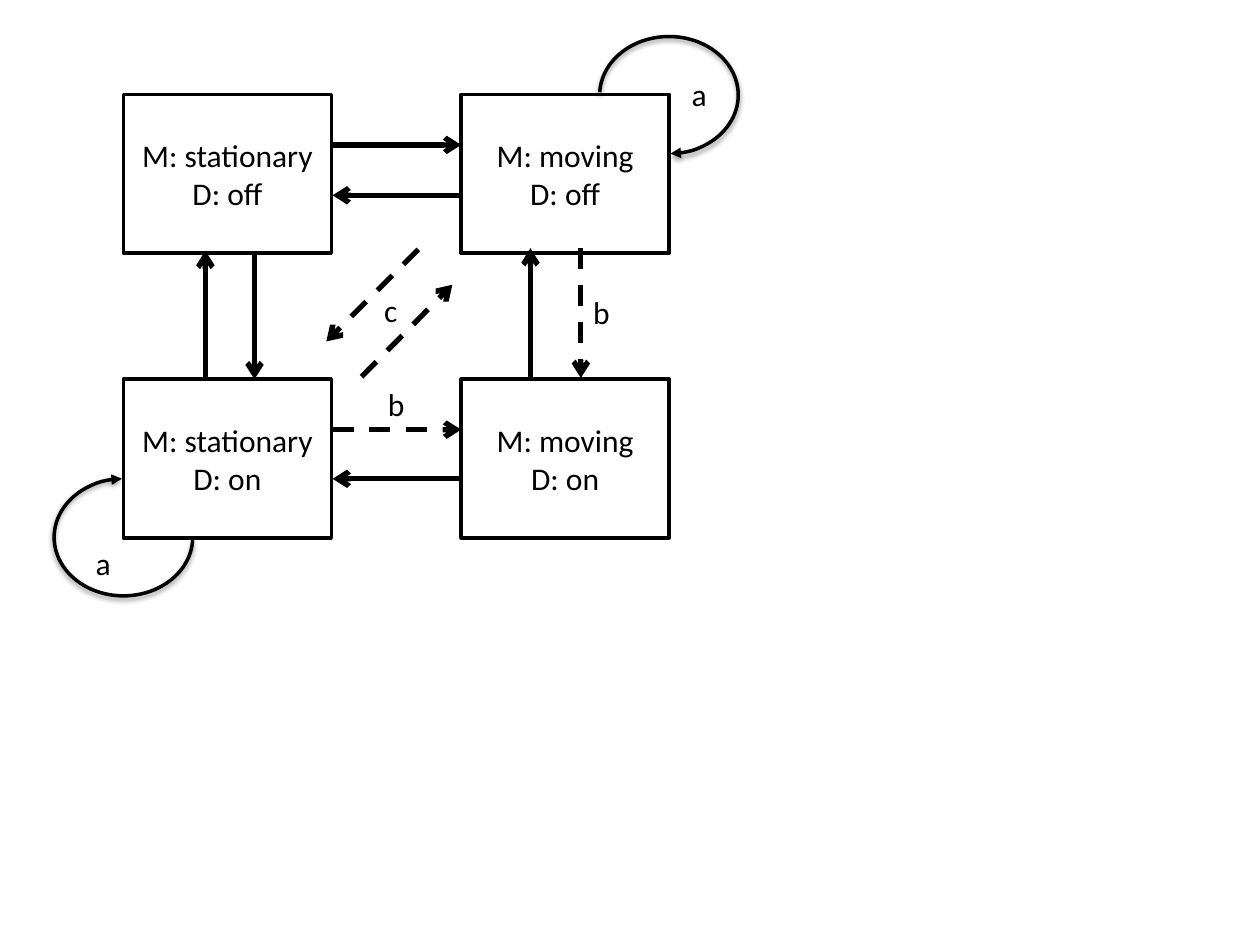
import pptx
import pptx.dml.color
import pptx.enum.dml
import pptx.enum.shapes
import pptx.enum.text
import pptx.oxml.ns
import pptx.util
from lxml import etree

Inches = pptx.util.Inches
Pt = pptx.util.Pt
qn = pptx.oxml.ns.qn
SHAPE = pptx.enum.shapes.MSO_SHAPE

COLORS = {"ink": "000000", "box": "FFFFFF"}
FONT = "Calibri"
COLS = (0.98, 3.66)
ROWS = (0.75, 3.01)
WIDE, HIGH = 1.65, 1.26
MOTION = ("stationary", "moving")
DOOR = ("off", "on")

# (from x, from y, to x, to y, dashed)
ARROWS = [
    (2.64, 1.15, 3.66, 1.15, False),
    (3.66, 1.55, 2.64, 1.55, False),
    (2.64, 3.41, 3.66, 3.41, True),
    (3.66, 3.8, 2.64, 3.8, False),
    (2.02, 1.99, 2.02, 3.01, False),
    (1.63, 3.01, 1.63, 1.99, False),
    (4.61, 1.97, 4.61, 3, True),
    (4.21, 3, 4.21, 1.97, False),
    (2.87, 2.99, 3.59, 2.26, True),
    (3.32, 1.98, 2.59, 2.71, True),
]
# (text, left, top, width)
LABELS = [
    ("a", 0.66, 4.27, 0.32),
    ("a", 5.39, 0.55, 0.32),
    ("b", 2.98, 3.01, 0.34),
    ("b", 4.61, 2.28, 0.34),
    ("c", 2.95, 2.26, 0.31),
]


def color(name):
    return pptx.dml.color.RGBColor.from_string(COLORS[name])


def style_line(line, width):
    line.color.rgb = color("ink")
    line.width = Pt(width)


def add_head(shape, kind):
    """Put an arrowhead at the end of the line."""
    ln = shape.element.spPr.find(qn("a:ln"))
    etree.SubElement(ln, qn("a:tailEnd"), type=kind)


def write(frame, lines, align):
    frame.text = "\n".join(lines)
    for para in frame.paragraphs:
        para.alignment = align
        para.font.name = FONT
        para.font.size = Pt(18)
        para.font.color.rgb = color("ink")


def add_state(slide, left, top, lines):
    box = slide.shapes.add_shape(
        SHAPE.RECTANGLE, Inches(left), Inches(top), Inches(WIDE), Inches(HIGH))
    box.shadow.inherit = False
    box.fill.solid()
    box.fill.fore_color.rgb = color("box")
    style_line(box.line, 2)
    box.text_frame.vertical_anchor = pptx.enum.text.MSO_ANCHOR.MIDDLE
    write(box.text_frame, lines, pptx.enum.text.PP_ALIGN.CENTER)


def add_arrow(slide, x1, y1, x2, y2, dashed):
    arrow = slide.shapes.add_connector(
        pptx.enum.shapes.MSO_CONNECTOR.STRAIGHT,
        Inches(x1), Inches(y1), Inches(x2), Inches(y2))
    style_line(arrow.line, 3)
    if dashed:
        arrow.line.dash_style = pptx.enum.dml.MSO_LINE.DASH
    add_head(arrow, "arrow")
    etree.SubElement(arrow.element.spPr, qn("a:effectLst"))


def add_shadow(shape):
    shape.shadow.inherit = False
    effects = shape.element.spPr.find(qn("a:effectLst"))
    outer = etree.SubElement(
        effects, qn("a:outerShdw"), blurRad=str(Pt(3.1)), dist=str(Pt(1.6)),
        dir="5400000", rotWithShape="0")
    tint = etree.SubElement(outer, qn("a:srgbClr"), val=COLORS["ink"])
    etree.SubElement(tint, qn("a:alpha"), val="38000")


def add_loop(slide, left, top, flip=False):
    """Draw an arc that leads from a state back to itself."""
    loop = slide.shapes.add_shape(
        SHAPE.ARC, Inches(left), Inches(top), Inches(1.1), Inches(0.93))
    loop.adjustments[0] = 109.447
    loop.adjustments[1] = 53.155
    loop.fill.background()
    style_line(loop.line, 2)
    add_head(loop, "triangle")
    add_shadow(loop)
    if flip:
        frame = loop.element.spPr.find(qn("a:xfrm"))
        frame.set("flipH", "1")
        frame.set("flipV", "1")


def add_label(slide, text, left, top, width):
    box = slide.shapes.add_textbox(
        Inches(left), Inches(top), Inches(width), Inches(0.4))
    frame = box.text_frame
    frame.word_wrap = False
    frame.auto_size = pptx.enum.text.MSO_AUTO_SIZE.SHAPE_TO_FIT_TEXT
    write(frame, [text], pptx.enum.text.PP_ALIGN.LEFT)


def main():
    deck = pptx.Presentation()
    deck.slide_width, deck.slide_height = Inches(10), Inches(7.5)
    slide = deck.slides.add_slide(deck.slide_layouts[6])
    for top, door in zip(ROWS, DOOR):
        for left, motion in zip(COLS, MOTION):
            add_state(slide, left, top, [f"M: {motion}", f"D: {door}"])
    for arrow in ARROWS:
        add_arrow(slide, *arrow)
    add_loop(slide, 4.76, 0.29)
    add_loop(slide, 0.43, 3.8, flip=True)
    for label in LABELS:
        add_label(slide, *label)
    deck.save("out.pptx")


if __name__ == "__main__":
    main()
